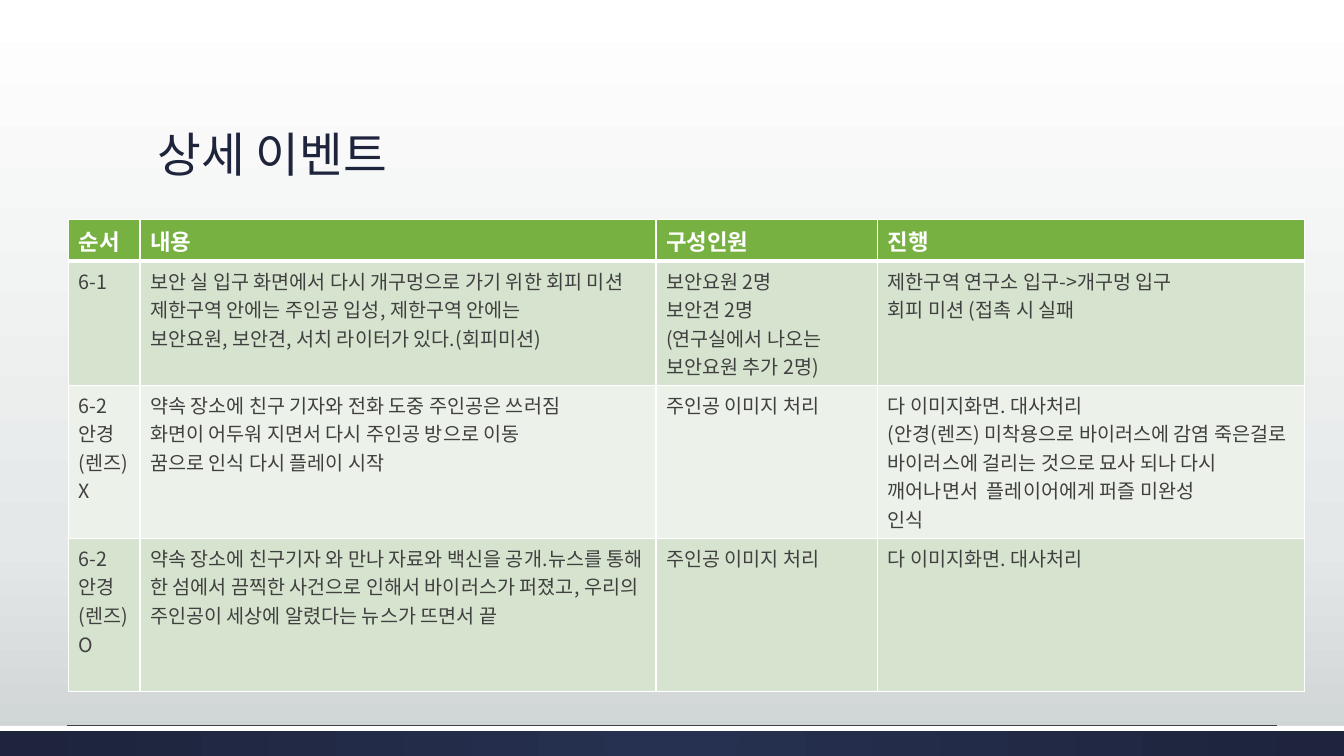
"""Build the detailed event table slide."""
from dataclasses import dataclass

from lxml.etree import SubElement
from pptx import Presentation
from pptx.dml.color import RGBColor
from pptx.enum.shapes import MSO_CONNECTOR, MSO_SHAPE
from pptx.enum.text import MSO_ANCHOR
from pptx.oxml.ns import qn
from pptx.util import Cm, Pt


@dataclass(frozen=True)
class Theme:
    font: str = "Noto Sans CJK KR"
    navy: str = "1D243C"
    navy_light: str = "263050"
    white: str = "FFFFFF"
    body: str = "404040"
    header: str = "77B142"
    bands: tuple = ("D6E4CF", "ECF2E9")
    backdrop: tuple = ((0, "FFFFFF"), (72, "E5E8E8"), (100, "CDD2D2"))
    title_size: int = 34
    header_size: int = 16
    body_size: int = 14


THEME = Theme()
COLUMNS = (1.8, 13, 5.59, 10.75)
ROW_HEIGHTS = (1.04, 3.13, 3.86, 3.86)
ROWS = (
    ("순서", "내용", "구성인원", "진행"),
    ("6-1",
     "보안 실 입구 화면에서 다시 개구멍으로 가기 위한 회피 미션 제한구역 안에는 주인공 입성, 제한구역 안에는\n"
     "보안요원, 보안견, 서치 라이터가 있다.(회피미션)",
     "보안요원 2명\n보안견 2명\n(연구실에서 나오는 보안요원 추가 2명)",
     "제한구역 연구소 입구->개구멍 입구\n회피 미션 (접촉 시 실패"),
    ("6-2\n안경\n(렌즈)\nX",
     "약속 장소에 친구 기자와 전화 도중 주인공은 쓰러짐\n"
     "화면이 어두워 지면서 다시 주인공 방으로 이동\n꿈으로 인식 다시 플레이 시작",
     "주인공 이미지 처리",
     "다 이미지화면. 대사처리\n"
     "(안경(렌즈) 미착용으로 바이러스에 감염 죽은걸로 바이러스에 걸리는 것으로 묘사 되나 "
     "다시 깨어나면서  플레이어에게 퍼즐 미완성\n인식"),
    ("6-2\n안경\n(렌즈)\nO",
     "약속 장소에 친구기자 와 만나 자료와 백신을 공개.뉴스를 통해 한 섬에서 끔찍한 사건으로 인해서 "
     "바이러스가 퍼졌고, 우리의 주인공이 세상에 알렸다는 뉴스가 뜨면서 끝",
     "주인공 이미지 처리",
     "다 이미지화면. 대사처리"),
)


def write(tf, text, size, color, bold=False, spacing=1.0):
    """Fill a text frame with one paragraph per line of text."""
    tf.word_wrap = True
    for i, line in enumerate(text.split("\n")):
        p = tf.add_paragraph() if i else tf.paragraphs[0]
        p.line_spacing = spacing
        r = p.add_run()
        r.text = line
        r.font.name = THEME.font
        r.font.size = Pt(size)
        r.font.bold = bold
        r.font.color.rgb = RGBColor.from_string(color)
        SubElement(r.font._element, qn("a:ea"), typeface=THEME.font)


def set_gradient(fill, owner, stops, radial=False):
    """Give a fill a downward or radial gradient with the listed stops."""
    fill.gradient()
    grad = next(owner.iter(qn("a:gradFill")))
    for child in list(grad):
        grad.remove(child)
    gs_list = SubElement(grad, qn("a:gsLst"))
    for position, color in stops:
        gs = SubElement(gs_list, qn("a:gs"), pos=str(position * 1000))
        SubElement(gs, qn("a:srgbClr"), val=color)
    if radial:
        center = SubElement(grad, qn("a:path"), path="circle")
        SubElement(center, qn("a:fillToRect"), l="50000", t="50000", r="50000", b="50000")
    else:
        SubElement(grad, qn("a:lin"), ang="5400000", scaled="0")


def add_bar(s, top, width, height):
    """Add a full-width bar without outline or shadow."""
    sp = s.shapes.add_shape(MSO_SHAPE.RECTANGLE, 0, Cm(top), width, Cm(height))
    sp.shadow.inherit = False
    sp.line.fill.background()
    return sp


def add_footer(s, width):
    """Add the navy band, its white edge and the thin rule above."""
    band = add_bar(s, 18.29, width, 0.76)
    set_gradient(band.fill, band._element,
                 ((0, THEME.navy_light), (100, THEME.navy)), radial=True)
    edge = add_bar(s, 18.29, width, 0.13)
    edge.fill.solid()
    edge.fill.fore_color.rgb = RGBColor.from_string(THEME.white)
    rule = s.shapes.add_connector(MSO_CONNECTOR.STRAIGHT, Cm(1.71), Cm(18.27), Cm(32.18), Cm(18.27))
    rule.line.width = Pt(0.75)
    rule.line.color.rgb = RGBColor.from_string(THEME.body)
    SubElement(rule._element.spPr, qn("a:effectLst"))


def add_title(s, text):
    """Add the bottom-anchored slide title."""
    tf = s.shapes.add_textbox(Cm(3.73), Cm(1.3), Cm(26.42), Cm(3.43)).text_frame
    tf.vertical_anchor = MSO_ANCHOR.BOTTOM
    write(tf, text, THEME.title_size, THEME.navy, spacing=0.9)


def set_borders(cell, bottom):
    """Draw white cell borders with the given bottom width in points."""
    tc_pr = cell._tc.get_or_add_tcPr()
    for side, width in (("L", 1), ("R", 1), ("T", 1), ("B", bottom)):
        ln = SubElement(tc_pr, qn(f"a:ln{side}"), w=str(Pt(width)))
        fill = SubElement(ln, qn("a:solidFill"))
        SubElement(fill, qn("a:srgbClr"), val=THEME.white)


def add_event_table(s, rows):
    """Add the event table with a green header and banded rows."""
    frame = s.shapes.add_table(len(rows), len(COLUMNS), Cm(1.73), Cm(5.54),
                               Cm(sum(COLUMNS)), Cm(sum(ROW_HEIGHTS)))
    table = frame.table
    for column, width in zip(table.columns, COLUMNS):
        column.width = Cm(width)
    for i, (row, height) in enumerate(zip(table.rows, ROW_HEIGHTS)):
        row.height = Cm(height)
        head = i == 0
        for cell, text in zip(row.cells, rows[i]):
            set_borders(cell, bottom=3 if head else 1)
            cell.fill.solid()
            color = THEME.header if head else THEME.bands[(i - 1) % 2]
            cell.fill.fore_color.rgb = RGBColor.from_string(color)
            write(cell.text_frame, text,
                  size=THEME.header_size if head else THEME.body_size,
                  color=THEME.white if head else THEME.body, bold=head)


def main():
    """Build and save the slide."""
    prs = Presentation()
    prs.slide_width, prs.slide_height = Cm(33.87), Cm(19.05)
    s = prs.slides.add_slide(prs.slide_layouts[6])
    set_gradient(s.background.fill, s._element, THEME.backdrop)
    add_footer(s, prs.slide_width)
    add_title(s, "상세 이벤트")
    add_event_table(s, ROWS)
    prs.save("out.pptx")


if __name__ == "__main__":
    main()
